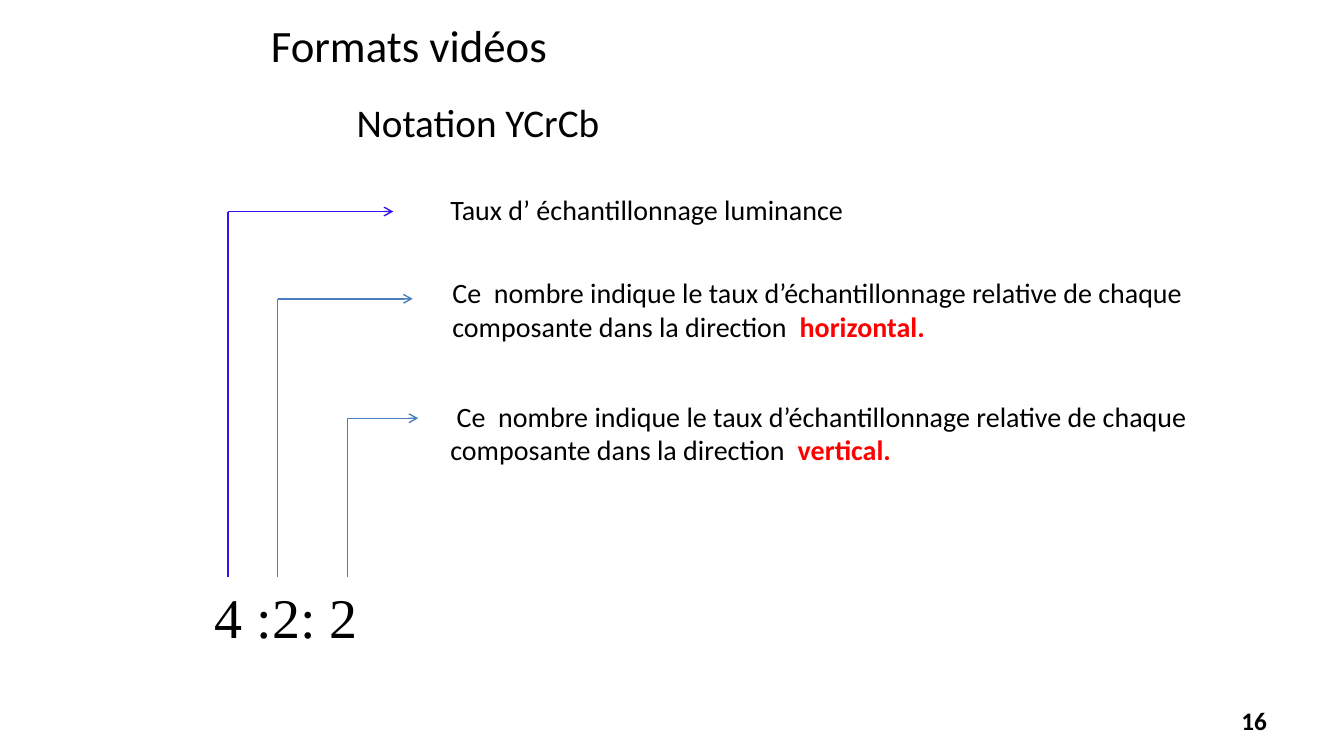
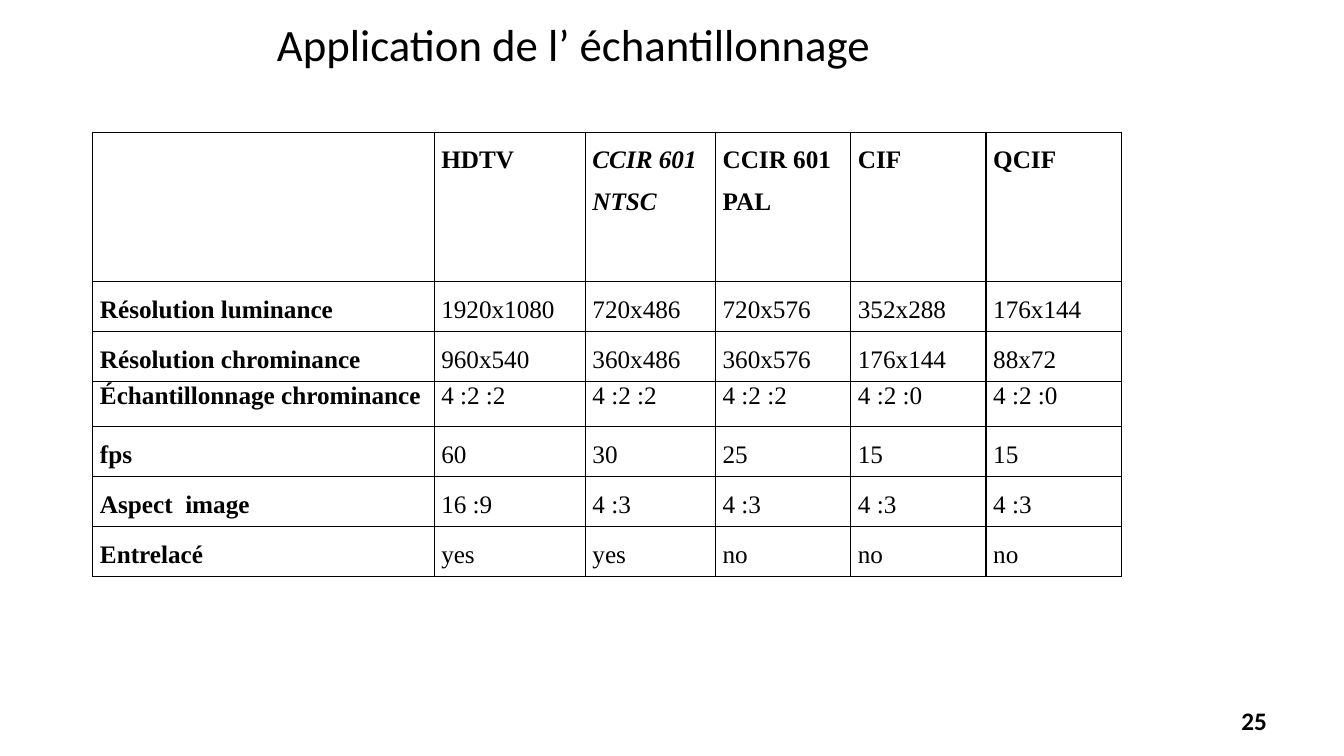
import pptx
import pptx.dml.color
import pptx.enum.shapes
import pptx.enum.text
import pptx.oxml.ns
import pptx.util
from lxml import etree
from pptx.util import Cm

BLACK = pptx.dml.color.RGBColor(0x00, 0x00, 0x00)
RED = pptx.dml.color.RGBColor(0xFF, 0x00, 0x00)
VIOLET = pptx.dml.color.RGBColor(0x38, 0x12, 0xF4)
BLUE = pptx.dml.color.RGBColor(0x4B, 0x7E, 0xBC)
SANS = "Calibri"
SERIF = "Times New Roman"
TITLE_SIZE = 32
qn = pptx.oxml.ns.qn


def format_run(run, size, font=SANS, color=BLACK, bold=False, italic=False):
    run.font.size = pptx.util.Pt(size)
    run.font.name = font
    run.font.color.rgb = color
    run.font.bold = bold
    run.font.italic = italic


def add_text(slide, left, top, width, height, text, size, font=SANS, bold=False, wrap=True):
    box = slide.shapes.add_textbox(Cm(left), Cm(top), Cm(width), Cm(height))
    box.text_frame.word_wrap = wrap
    box.text_frame.text = text
    paragraph = box.text_frame.paragraphs[0]
    format_run(paragraph.runs[0], size, font, bold=bold)
    return box.text_frame


presentation = pptx.Presentation()
presentation.slide_width = Cm(33.87)
presentation.slide_height = Cm(19.05)

# Shared parts: title and page number
slides = []
for title, left, top, width, number in (
    (" Formats vidéos", 6.32, 0.33, 8.76, "16"),
    ("Application de l’ échantillonnage", 6.73, 0.3, 15.9, "25"),
):
    slide = presentation.slides.add_slide(presentation.slide_layouts[6])
    add_text(slide, left, top, width, 1.63, title, TITLE_SIZE)
    footer = add_text(slide, 24.28, 17.65, 7.9, 1.02, number, 18, bold=True)
    footer.vertical_anchor = pptx.enum.text.MSO_ANCHOR.MIDDLE
    footer.paragraphs[0].alignment = pptx.enum.text.PP_ALIGN.RIGHT
    slides.append(slide)
notation_slide, application_slide = slides

# Notation: subtitle and ratio
add_text(notation_slide, 8.74, 2.36, 6.71, 1.45, "Notation YCrCb", 28, wrap=False)
add_text(notation_slide, 5.16, 14.55, 4.98, 1.96, "4 :2: 2", 40, SERIF)

# Notation: explanation of each number, the key word in red
sampling = "Ce  nombre indique le taux d’échantillonnage relative de chaque composante dans la direction  "
for left, top, width, height, text, key_word in (
    (11.1, 4.72, 11.43, 1.12, "Taux d’ échantillonnage luminance", ""),
    (11.15, 6.83, 21.79, 1.96, sampling, "horizontal."),
    (11.1, 9.93, 21.44, 1.96, " " + sampling, "vertical."),
):
    frame = add_text(notation_slide, left, top, width, height, text, 20)
    if key_word:
        run = frame.paragraphs[0].add_run()
        run.text = key_word
        format_run(run, 20, color=RED, bold=True)

# Notation: a stem and an arrow from each number to its explanation
stem_bottom = 14.53
for stem_x, arrow_y, arrow_x, color in (
    (5.75, 5.33, 9.91, VIOLET),
    (7, 7.53, 10.4, BLUE),
    (8.75, 10.54, 10.54, BLUE),
):
    for end_x, end_y in ((stem_x, stem_bottom), (arrow_x, arrow_y)):
        line = notation_slide.shapes.add_connector(
            pptx.enum.shapes.MSO_CONNECTOR.STRAIGHT,
            Cm(stem_x), Cm(arrow_y), Cm(end_x), Cm(end_y))
        line.line.color.rgb = color
        line.line.width = pptx.util.Pt(1)
        if end_y == arrow_y:
            etree.SubElement(line.line._get_or_add_ln(), qn("a:tailEnd"), type="arrow")
        etree.SubElement(line._element.spPr, qn("a:effectLst"))

# Application: table of formats
rows = (
    ("", "HDTV", "CCIR 601\nNTSC", "CCIR 601\nPAL", "CIF", "QCIF"),
    ("Résolution luminance", "1920x1080", "720x486", "720x576", "352x288", "176x144"),
    ("Résolution chrominance", "960x540", "360x486", "360x576", "176x144", "88x72"),
    ("Échantillonnage chrominance", "4 :2 :2", "4 :2 :2", "4 :2 :2", "4 :2 :0", "4 :2 :0"),
    ("fps", "60", "30", "25", "15", "15"),
    ("Aspect  image", "16 :9", "4 :3", "4 :3", "4 :3", "4 :3"),
    ("Entrelacé", "yes", "yes", "no", "no", "no"),
)
column_widths = (8.6, 3.81, 3.28, 3.41, 3.41, 3.41)
row_heights = (3.77, 1.26, 1.26, 1.13, 1.26, 1.26, 1.26)
single_spaced_row = 3
italic_cell = (0, 2)

table = application_slide.shapes.add_table(
    len(rows), len(column_widths), Cm(2.34), Cm(3.33),
    Cm(sum(column_widths)), Cm(sum(row_heights))).table
table.first_row = False
table.horz_banding = False
for column, width in zip(table.columns, column_widths):
    column.width = Cm(width)
for row, height in zip(table.rows, row_heights):
    row.height = Cm(height)

for row_index, row in enumerate(rows):
    for column_index, text in enumerate(row):
        cell = table.cell(row_index, column_index)
        cell.margin_left = cell.margin_right = Cm(0.18)
        cell.margin_top = cell.margin_bottom = Cm(0)
        cell.text_frame.text = text
        for paragraph in cell.text_frame.paragraphs:
            if row_index != single_spaced_row:
                paragraph.line_spacing = 1.5
            for run in paragraph.runs:
                format_run(run, 18, SERIF, bold=row_index == 0 or column_index == 0,
                           italic=(row_index, column_index) == italic_cell)
        # Black border on every side, no fill
        properties = cell._tc.get_or_add_tcPr()
        for side in ("a:lnL", "a:lnR", "a:lnT", "a:lnB"):
            border = etree.SubElement(properties, qn(side), w=str(pptx.util.Pt(1)))
            fill = etree.SubElement(border, qn("a:solidFill"))
            etree.SubElement(fill, qn("a:srgbClr"), val=str(BLACK))
        cell.fill.background()

presentation.save("out.pptx")
